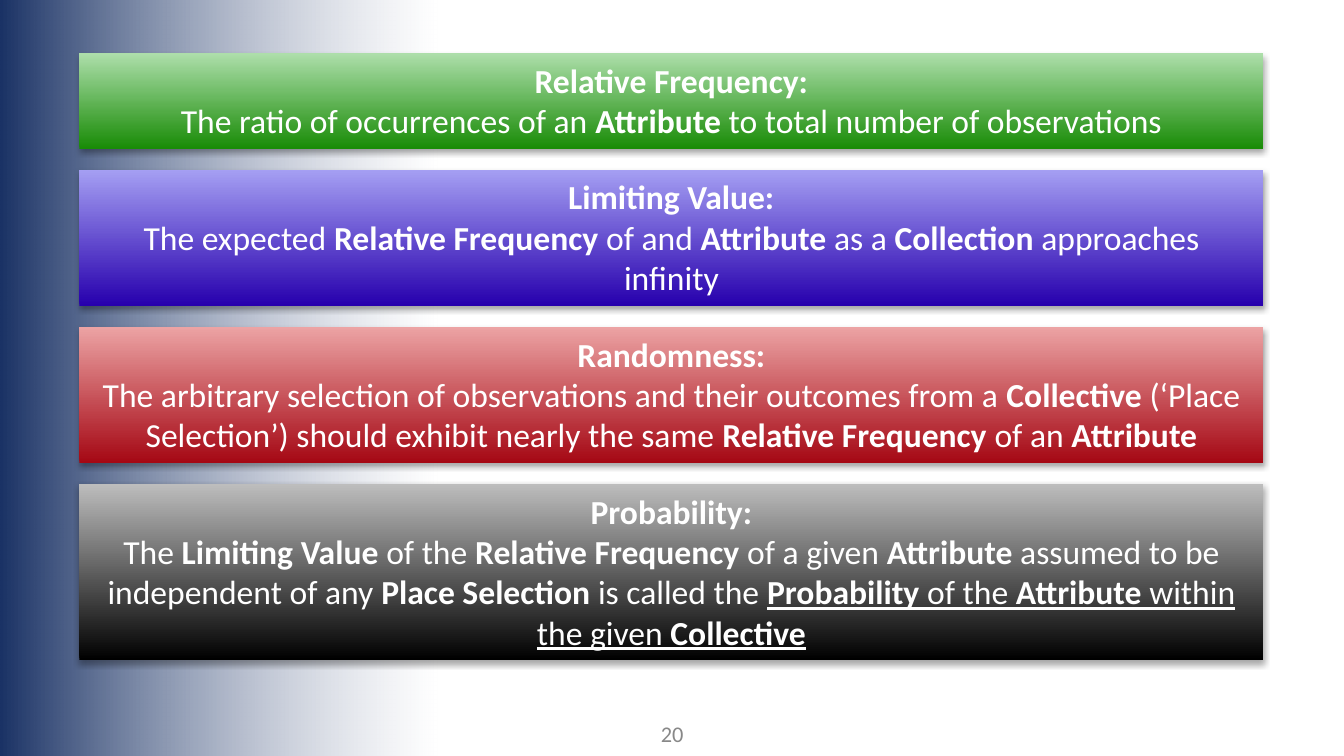
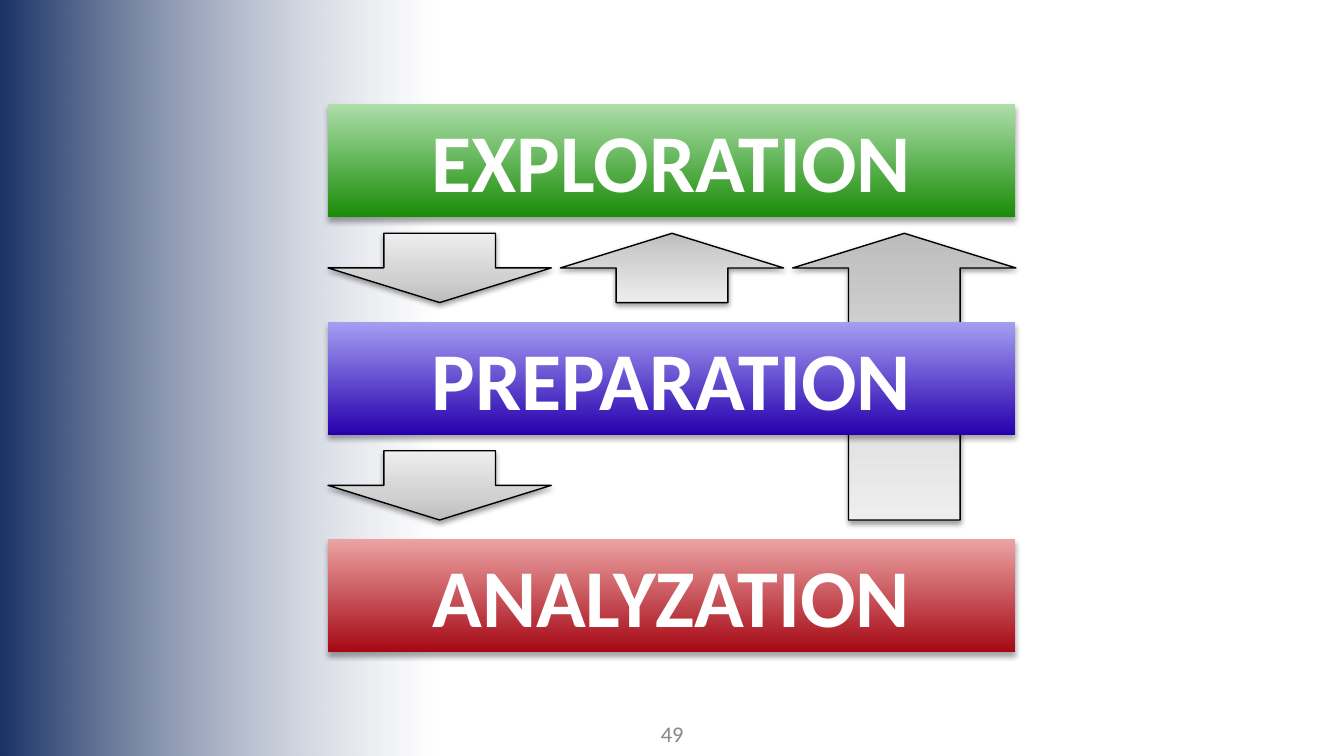
from lxml import etree
from pptx import Presentation
from pptx.dml.color import RGBColor
from pptx.enum.shapes import MSO_SHAPE
from pptx.enum.text import MSO_ANCHOR, MSO_AUTO_SIZE, PP_ALIGN
from pptx.oxml import parse_xml
from pptx.oxml.ns import nsdecls, qn
from pptx.util import Cm, Pt

RECTANGLE = MSO_SHAPE.RECTANGLE
DOWN_ARROW = MSO_SHAPE.DOWN_ARROW
CENTER = PP_ALIGN.CENTER
TOP = MSO_ANCHOR.TOP
MIDDLE = MSO_ANCHOR.MIDDLE
GROW = MSO_AUTO_SIZE.SHAPE_TO_FIT_TEXT

FONT = "Calibri"
COLORS = {
    "navy": "1A3265", "white": "FFFFFF", "black": "000000", "number": "888888",
    "green": "198C07", "light green": "ADDEAA",
    "blue": "2700AD", "light blue": "A59FF3",
    "red": "A50814", "light red": "ECA3A4",
    "light black": "BDBDBD",
    "silver": "BDBDBD", "mid silver": "D1D1D1", "pale silver": "EEEEEE",
}
ARROW_STOPS = [(0, "silver", 100), (35, "mid silver", 100), (100, "pale silver", 100)]
SLIDE_WIDTH, SLIDE_HEIGHT = 25.4, 14.29

DEFINITION_LEFT, DEFINITION_TOP, DEFINITION_WIDTH = 1.5, 1.01, 22.38
DEFINITION_GAP = 0.4
DEFINITIONS = [
    ("green", 1.8, "Relative Frequency:",
     "The ratio of occurrences of an *Attribute* to total number of observations"),
    ("blue", 2.57, "Limiting Value:",
     "The expected *Relative Frequency* of and *Attribute* as a *Collection* "
     "approaches infinity"),
    ("red", 2.57, "Randomness:",
     "The arbitrary selection of observations and their outcomes from a "
     "*Collective *(‘Place Selection’) should exhibit nearly the same "
     "*Relative Frequency *of an *Attribute*"),
    ("black", 3.33, "Probability:",
     "The *Limiting Value* of the *Relative Frequency* of a given *Attribute* "
     "assumed to be independent of any *Place Selection *is called the "
     "_*Probability *of the *Attribute *within the given *Collective*_"),
]

STAGES = [("green", "EXPLORATION"), ("blue", "PREPARATION"), ("red", "ANALYZATION")]
STAGE_LEFT, STAGE_TOP, STAGE_WIDTH, STAGE_HEIGHT = 6.2, 1.97, 12.98, 2.14
STAGE_PITCH = 4.11
ARROW_TOP, ARROW_WIDTH, ARROW_HEIGHT = 4.41, 4.22, 1.31
ARROW_PITCH = 4.39


def set_gradient(shape, stops, angle):
    """Fill a shape with (position, colour, opacity) stops at a clockwise angle."""
    gradient = parse_xml(
        f'<a:gradFill {nsdecls("a")} rotWithShape="1"><a:gsLst/>'
        f'<a:lin ang="{angle * 60000}" scaled="0"/></a:gradFill>')
    for position, color, opacity in stops:
        stop = etree.SubElement(gradient[0], qn("a:gs"), pos=str(position * 1000))
        value = etree.SubElement(stop, qn("a:srgbClr"), val=COLORS[color])
        if opacity < 100:
            etree.SubElement(value, qn("a:alpha"), val=str(opacity * 1000))
    shape.element.spPr.find(qn("a:prstGeom")).addnext(gradient)


def set_shadow(shape, distance, opacity):
    """Drop a soft black shadow straight below a shape."""
    effects = shape.element.spPr.find(qn("a:effectLst"))
    effects.append(parse_xml(
        f'<a:outerShdw {nsdecls("a")} blurRad="{Pt(3.1)}" dist="{Pt(distance)}" '
        f'dir="5400000" rotWithShape="0"><a:srgbClr val="{COLORS["black"]}">'
        f'<a:alpha val="{opacity * 1000}"/></a:srgbClr></a:outerShdw>'))


def add_gradient_shape(slide, kind, left, top, width, height, stops, angle=270):
    """Add a borderless, shadowless preset shape with a gradient; sizes in cm."""
    shape = slide.shapes.add_shape(kind, Cm(left), Cm(top), Cm(width), Cm(height))
    shape.shadow.inherit = False
    shape.line.fill.background()
    set_gradient(shape, stops, angle)
    return shape


def style_paragraph(paragraph, size, color):
    """Centre a paragraph and set its font."""
    paragraph.alignment = CENTER
    paragraph.font.name = FONT
    paragraph.font.size = Pt(size)
    paragraph.font.color.rgb = RGBColor.from_string(COLORS[color])


def add_marked_runs(paragraph, text):
    """Add runs where * switches bold and _ switches underline."""
    for underline_index, passage in enumerate(text.split("_")):
        for bold_index, words in enumerate(passage.split("*")):
            if words:
                run = paragraph.add_run()
                run.text = words
                run.font.bold = bold_index % 2 == 1
                if underline_index % 2:
                    run.font.underline = True


def add_band(slide, color, left, top, width, height, heading, size):
    """Add a coloured band with a bold heading and return its text frame."""
    stops = [(0, color, 100), (100, f"light {color}", 100)]
    band = add_gradient_shape(slide, RECTANGLE, left, top, width, height, stops)
    set_shadow(band, 1.8, 35)
    frame = band.text_frame
    frame.word_wrap = True
    frame.auto_size = GROW
    frame.vertical_anchor = TOP
    paragraph = frame.paragraphs[0]
    paragraph.text = heading
    style_paragraph(paragraph, size, "white")
    paragraph.font.bold = True
    return frame


def add_arrow(slide, column, row, height=ARROW_HEIGHT, upward=False):
    """Add a block arrow in a column, below the stage of the given row."""
    arrow = add_gradient_shape(
        slide, DOWN_ARROW, STAGE_LEFT + column * ARROW_PITCH,
        ARROW_TOP + row * STAGE_PITCH, ARROW_WIDTH, height, ARROW_STOPS)
    arrow.line.color.rgb = RGBColor.from_string(COLORS["black"])
    arrow.line.width = Pt(0.75)
    set_shadow(arrow, 1.6, 38)
    arrow.rotation = 180 if upward else 0
    return arrow


def add_base_slide(presentation):
    """Add a blank slide with the navy fade on the left."""
    slide = presentation.slides.add_slide(presentation.slide_layouts[6])
    stops = [(0, "navy", 100), (100, "white", 48)]
    add_gradient_shape(slide, RECTANGLE, 0, 0, 8.26, SLIDE_HEIGHT, stops, angle=0)
    return slide


def add_slide_number(slide, number):
    """Add the page number at the bottom centre."""
    box = slide.shapes.add_textbox(Cm(12.07), Cm(13.49), Cm(1.27), Cm(0.76))
    frame = box.text_frame
    frame.word_wrap = True
    frame.vertical_anchor = MIDDLE
    frame.text = str(number)
    style_paragraph(frame.paragraphs[0], 12, "number")


def build_definitions(presentation):
    """Build the slide that defines the four terms."""
    slide = add_base_slide(presentation)
    add_slide_number(slide, 20)
    top = DEFINITION_TOP
    for color, height, term, definition in DEFINITIONS:
        frame = add_band(slide, color, DEFINITION_LEFT, top, DEFINITION_WIDTH,
                         height, term, 18)
        paragraph = frame.add_paragraph()
        style_paragraph(paragraph, 18, "white")
        add_marked_runs(paragraph, definition)
        top += height + DEFINITION_GAP


def build_stages(presentation):
    """Build the slide with three stages and the arrows between them."""
    slide = add_base_slide(presentation)
    return_arrow = add_arrow(slide, 2, 0, ARROW_HEIGHT + STAGE_PITCH, upward=True)
    return_arrow.adjustments[1] = ARROW_HEIGHT / ARROW_WIDTH / 2
    add_slide_number(slide, 49)
    for row, (color, stage) in enumerate(STAGES):
        add_band(slide, color, STAGE_LEFT, STAGE_TOP + row * STAGE_PITCH,
                 STAGE_WIDTH, STAGE_HEIGHT, stage, 44)
    add_arrow(slide, 0, 0)
    add_arrow(slide, 0, 1)
    add_arrow(slide, 1, 0, upward=True)


def main():
    """Build both slides and save the file."""
    presentation = Presentation()
    presentation.slide_width = Cm(SLIDE_WIDTH)
    presentation.slide_height = Cm(SLIDE_HEIGHT)
    build_definitions(presentation)
    build_stages(presentation)
    presentation.save("out.pptx")


if __name__ == "__main__":
    main()
